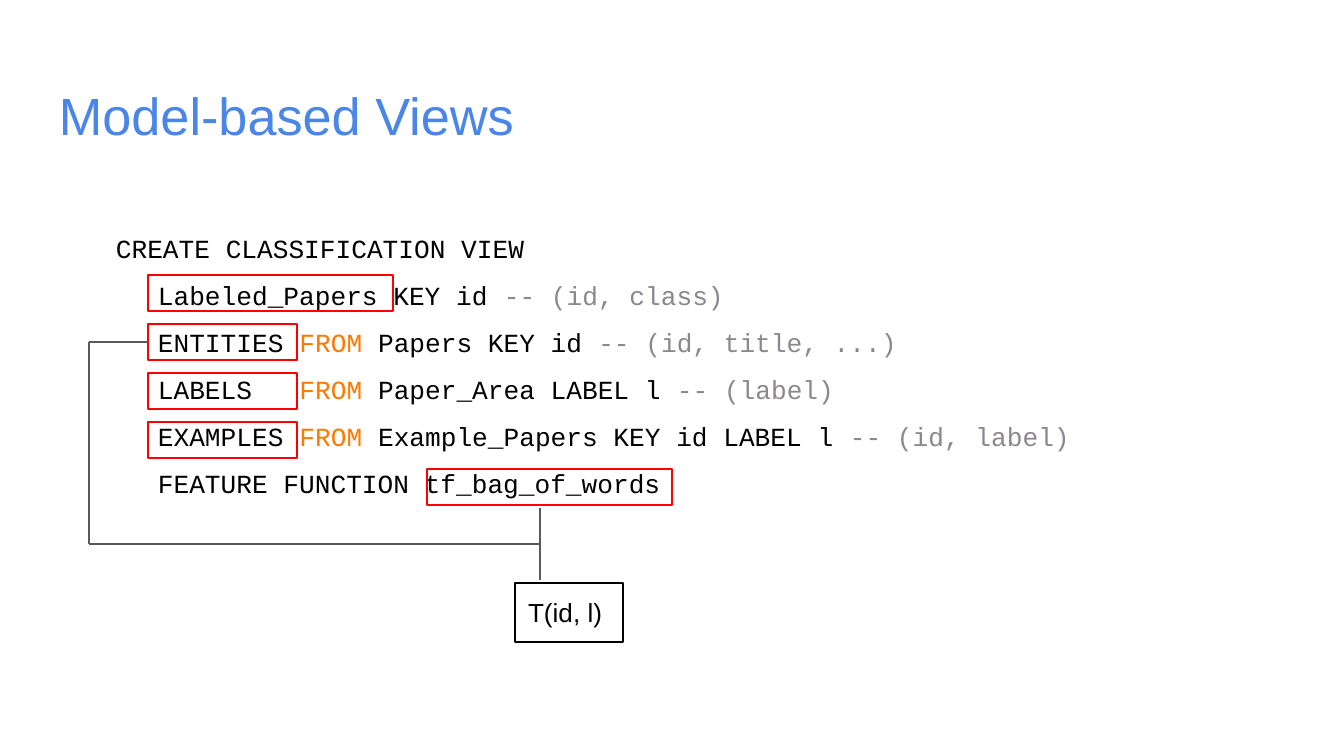
from lxml import etree
from pptx import Presentation
from pptx.dml.color import RGBColor
from pptx.enum.shapes import MSO_CONNECTOR, MSO_SHAPE
from pptx.enum.text import MSO_ANCHOR, PP_ALIGN
from pptx.oxml.ns import qn
from pptx.util import Emu, Pt

RECT, STRAIGHT = MSO_SHAPE.RECTANGLE, MSO_CONNECTOR.STRAIGHT
TOP, MIDDLE = MSO_ANCHOR.TOP, MSO_ANCHOR.MIDDLE
LEFT = PP_ALIGN.LEFT

BLUE = RGBColor(0x4A, 0x86, 0xE8)
BLACK = RGBColor(0, 0, 0)
ORANGE = RGBColor(0xFF, 0x78, 0x00)
COMMENT = RGBColor(0x8C, 0x86, 0x8F)
RED = RGBColor(0xFF, 0, 0)
GRAY = RGBColor(0x59, 0x59, 0x59)

PX_PER_INCH = 134.4
INSET = 13
HEAD_INDENT, CLAUSE_INDENT = 57, 99
KEYWORD_COLUMN = 9


def px(n):
    return Emu(round(n * 914400 / PX_PER_INCH))


def set_attrs(obj, values):
    for name, value in values.items():
        setattr(obj, name, value)


def set_frame(tf, top=INSET, anchor=TOP):
    set_attrs(tf, {"word_wrap": True, "vertical_anchor": anchor,
                   "margin_left": px(INSET), "margin_right": px(INSET),
                   "margin_top": px(top), "margin_bottom": px(INSET)})


def add_run(p, text, color, size=14, font="Arial"):
    r = p.add_run()
    r.text = text
    set_attrs(r.font, {"name": font, "size": Pt(size)})
    r.font.color.rgb = color


def add_text_box(s, x, y, w, h, top):
    tf = s.shapes.add_textbox(px(x), px(y), px(w), px(h)).text_frame
    set_frame(tf, top)
    return tf


def add_code(tf, lines):
    for i, runs in enumerate(lines):
        p = tf.add_paragraph() if i else tf.paragraphs[0]
        p.line_spacing = Pt(25.2)
        indent = CLAUSE_INDENT if i else HEAD_INDENT
        p._p.get_or_add_pPr().set("marL", str(px(indent)))
        for text, color in runs:
            add_run(p, text, color, font="Courier New")


def from_clause(keyword, source, columns):
    return [(keyword.ljust(KEYWORD_COLUMN), BLACK), ("FROM", ORANGE),
            (f" {source} ", BLACK), (f"-- ({columns})", COMMENT)]


def add_frame(s, x, y, w, h, color):
    sp = s.shapes.add_shape(RECT, px(x), px(y), px(w), px(h))
    sp.shadow.inherit = False
    sp.fill.background()
    sp.line.color.rgb = color
    sp.line.width = Pt(0.75)
    return sp


def add_line(s, x1, y1, x2, y2):
    line = s.shapes.add_connector(STRAIGHT, px(x1), px(y1), px(x2), px(y2))
    line.line.color.rgb = GRAY
    line.line.width = Pt(0.75)
    etree.SubElement(line._element.spPr, qn("a:effectLst"))


def main():
    prs = Presentation()
    prs.slide_width, prs.slide_height = px(1344), px(756)
    s = prs.slides.add_slide(prs.slide_layouts[6])

    # Title
    tf = add_text_box(s, 46, 66, 1253, 85, top=17)
    add_run(tf.paragraphs[0], "Model-based Views", BLUE, size=28)

    # View definition
    tf = add_text_box(s, 46, 169, 1253, 503, top=48)
    add_code(tf, [
        [("CREATE CLASSIFICATION VIEW", BLACK)],
        [("Labeled_Papers KEY id ", BLACK), ("-- (id, class)", COMMENT)],
        from_clause("ENTITIES", "Papers KEY id", "id, title, ..."),
        from_clause("LABELS", "Paper_Area LABEL l", "label"),
        from_clause("EXAMPLES", "Example_Papers KEY id LABEL l", "id, label"),
        [("FEATURE FUNCTION tf_bag_of_words", BLACK)],
    ])

    # Red frames around the view name, the clauses and the feature function
    for i, width in enumerate([245, 149, 149, 149]):
        add_frame(s, 148, 275 + 49 * i, width, 36, RED)
    add_frame(s, 427, 469, 245, 36, RED)

    # Lines from the entities and the feature function to the result
    bus_x, stem_x, entities_y, join_y = 89, 540, 342, 544
    add_line(s, 148, entities_y, bus_x, entities_y)
    add_line(s, bus_x, entities_y, bus_x, join_y)
    add_line(s, stem_x, join_y, bus_x, join_y)
    add_line(s, stem_x, 508, stem_x, 580)

    # Result table
    tf = add_frame(s, 515, 583, 108, 59, BLACK).text_frame
    set_frame(tf, anchor=MIDDLE)
    tf.paragraphs[0].alignment = LEFT
    add_run(tf.paragraphs[0], "T(id, l)", BLACK)

    prs.save("out.pptx")


if __name__ == "__main__":
    main()
